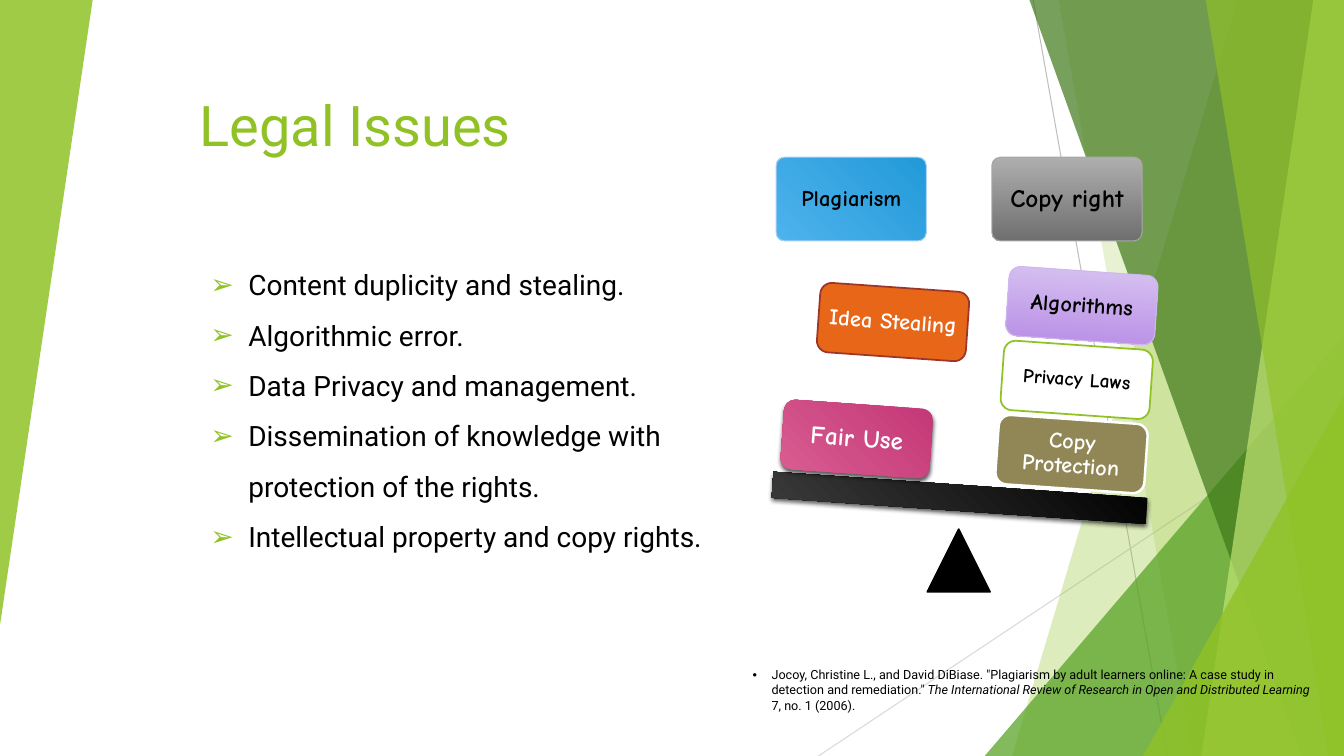
from dataclasses import dataclass
from typing import Optional

from lxml import etree
from pptx import Presentation
from pptx import util as u
from pptx.dml import color
from pptx.enum import shapes, text
from pptx.oxml import ns

Pt = u.Pt
WIDE, HIGH = 960, 540
LIME, BLACK, WHITE = "90C226", "000000", "FFFFFF"
KIND = shapes.MSO_SHAPE


@dataclass
class Band:
    """Facet reaching the right edge, from its left corners."""
    top: float
    low: float
    hue: str
    alpha: int


@dataclass
class Wedge:
    """Right-angled triangle."""
    box: tuple
    hue: str
    alpha: int
    turn: int = 0


@dataclass
class Card:
    """Block of the scale; two fills make a gradient."""
    label: str
    box: tuple
    fill: tuple
    line: Optional[str] = None
    width: float = 0.75
    ink: str = BLACK
    size: int = 16
    turn: int = 4
    round: float = 0.167
    radial: bool = False
    shade: bool = False
    pad: float = 5
    kind: int = KIND.ROUNDED_RECTANGLE


def rgb(code: str) -> color.RGBColor:
    return color.RGBColor.from_string(code)


def put(thing, form: dict) -> None:
    for name, value in form.items():
        setattr(thing, name, value)


def node(parent, tag: str, **attrs):
    return etree.SubElement(parent, ns.qn(tag), {k: str(v) for k, v in attrs.items()})


def paint(shape, hue: str, alpha: int = 100) -> None:
    shape.shadow.inherit = False
    shape.fill.solid()
    shape.fill.fore_color.rgb = rgb(hue)
    if alpha < 100:
        tint = shape._element.spPr.find(".//" + ns.qn("a:srgbClr"))
        node(tint, "a:alpha", val=alpha * 1000)


def blend(shape, hues: tuple, radial: bool) -> None:
    shape.fill.gradient()
    shape.fill.gradient_angle = 270
    for stop, hue in zip(shape.fill.gradient_stops, hues):
        stop.color.rgb = rgb(hue)
    if radial:
        grad = shape._element.spPr.find(ns.qn("a:gradFill"))
        grad.remove(grad.find(ns.qn("a:lin")))
        path = node(grad, "a:path", path="circle")
        node(path, "a:fillToRect", l=0, t=100000, r=100000, b=0)


def shade(shape) -> None:
    effects = shape._element.spPr.find(ns.qn("a:effectLst"))
    drop = node(effects, "a:outerShdw", blurRad=Pt(3), dist=Pt(2), dir=5400000, rotWithShape=0)
    node(node(drop, "a:srgbClr", val=BLACK), "a:alpha", val=64000)


def write(para, words: str, size: int, hue: str, font: str = "Roboto", **form) -> None:
    run = para.add_run()
    run.text = words
    put(run.font, {"size": Pt(size), "name": font, **form})
    run.font.color.rgb = rgb(hue)


def bullet(para, mark: str, indent: float, hue: str) -> None:
    props = para._p.get_or_add_pPr()
    put_in = {"marL": Pt(indent), "indent": -Pt(indent)}
    for name, value in put_in.items():
        props.set(name, str(value))
    node(node(props, "a:buClr"), "a:srgbClr", val=hue)
    node(props, "a:buFont", typeface="Arial")
    node(props, "a:buChar", char=mark)


def draw_line(slide, ends: tuple, hue: str) -> None:
    line = slide.shapes.add_connector(shapes.MSO_CONNECTOR.STRAIGHT, *map(Pt, ends))
    put(line.line, {"width": Pt(0.75)})
    line.line.color.rgb = rgb(hue)
    node(line._element.spPr, "a:effectLst")


def draw_band(slide, band: Band) -> None:
    pen = slide.shapes.build_freeform(Pt(band.top), Pt(-0.72))
    corners = [(WIDE, -0.72), (WIDE, HIGH), (band.low, HIGH)]
    pen.add_line_segments([(Pt(x), Pt(y)) for x, y in corners])
    shape = pen.convert_to_shape()
    paint(shape, band.hue, band.alpha)
    shape.line.fill.background()


def draw_wedge(slide, wedge: Wedge) -> None:
    shape = slide.shapes.add_shape(KIND.ISOSCELES_TRIANGLE, *map(Pt, wedge.box))
    shape.adjustments[0] = 1
    shape.rotation = wedge.turn
    paint(shape, wedge.hue, wedge.alpha)
    shape.line.fill.background()


def draw_card(slide, card: Card) -> None:
    shape = slide.shapes.add_shape(card.kind, *map(Pt, card.box))
    shape.rotation = card.turn
    paint(shape, card.fill[0])
    if card.kind == KIND.ROUNDED_RECTANGLE:
        shape.adjustments[0] = card.round
    if len(card.fill) > 1:
        blend(shape, card.fill, card.radial)
    if card.shade:
        shade(shape)
    if card.line:
        shape.line.width = Pt(card.width)
        shape.line.color.rgb = rgb(card.line)
    else:
        shape.line.fill.background()
    if card.label:
        frame = shape.text_frame
        sides = ("left", "top", "right", "bottom")
        put(frame, {f"margin_{side}": Pt(card.pad) for side in sides})
        put(frame, {"word_wrap": True, "vertical_anchor": text.MSO_ANCHOR.MIDDLE})
        para = frame.paragraphs[0]
        put(para, {"alignment": text.PP_ALIGN.CENTER, "line_spacing": 0.9})
        write(para, card.label, card.size, card.ink, "Comic Neue", bold=True)


def add_text(slide, box: tuple, **form):
    frame = slide.shapes.add_textbox(*map(Pt, box)).text_frame
    put(frame, {"word_wrap": True, **form})
    return frame


def stack(step: int) -> tuple:
    """Place on the right-hand pile, counted from the beam up."""
    return (712.1 + 3.7 * step, 299.5 - 53 * step, 106.6, 49.7)


LINES = [((738, 0, 833.8, HIGH), "BFBFBF"), ((WIDE, 290.2, 584.6, HIGH), "D9D9D9")]
FACETS = [
    Band(884.2, 722.9, LIME, 30),
    Band(756, 851.8, LIME, 20),
    Wedge((703.4, 239.8, 256.6, 300.2), "54A021", 72),
    Band(735.1, 929.5, "3F7819", 70),
    Band(938.2, 858.2, "C0E474", 70),
    Band(861.1, 949, LIME, 65),
    Wedge((816.5, 283, 143.5, 257), LIME, 80),
    Wedge((0, 0, 66.2, 446.4), LIME, 85, 180),
]
CARDS = [
    Card("Plagiarism", (554.4, 112.3, 107.3, 59.8), ("4EB2ED", "229AD8"), "ABD2F4",
         turn=0, round=0.1, radial=True),
    Card("Copy right", (708.5, 112.3, 107.3, 59.8), ("AEAEAE", "6F6F6F"), "A8A8A8",
         size=18, turn=0, round=0.1),
    Card("", (662.4, 378, 44.8, 44.8), (BLACK,), BLACK, 1.25, turn=0,
         kind=KIND.ISOSCELES_TRIANGLE),
    Card("", (551.5, 346.3, 267.8, 18.7), ("3C3C3C", BLACK), radial=True, shade=True,
         kind=KIND.RECTANGLE),
    Card("Copy Protection", stack(0), ("918655",), WHITE, 1.75, WHITE),
    Card("Privacy Laws", stack(1), (WHITE,), LIME, 1.25, size=14, pad=4.3),
    Card("Algorithms", stack(2), ("D8C4F1", "B88DE6"), "CFB7EE"),
    Card("Fair Use", (558.7, 288.7, 106.6, 49.7), ("D95D91", "C33776"), ink=WHITE,
         size=18, radial=True, shade=True),
    Card("Idea Stealing", (584.6, 205.2, 106.6, 49.7), ("E76618",), "9C362B", 1.25, WHITE),
]
ISSUES = [
    "Content duplicity and stealing.",
    "Algorithmic error.",
    "Data Privacy and management.",
    "Dissemination of knowledge with protection of the rights.",
    "Intellectual property and copy rights.",
]
SOURCE = [
    ('Jocoy, Christine L., and David DiBiase. "Plagiarism by adult learners online: '
     'A case study in detection and remediation." ', False),
    ("The International Review of Research in Open and Distributed Learning", True),
    (" 7, no. 1 (2006).", False),
]


def main() -> None:
    deck = Presentation()
    put(deck, {"slide_width": Pt(WIDE), "slide_height": Pt(HIGH)})
    slide = deck.slides.add_slide(deck.slide_layouts[6])

    # Backdrop
    for ends, hue in LINES:
        draw_line(slide, ends, hue)
    for facet in FACETS:
        (draw_band if isinstance(facet, Band) else draw_wedge)(slide, facet)

    # Title and issues
    title = add_text(slide, (135.4, 41, 344.9, 74.9), vertical_anchor=text.MSO_ANCHOR.BOTTOM)
    write(title.paragraphs[0], "Legal Issues", 40, LIME)
    body = add_text(slide, (143.3, 175.7, 407.5, 184.3))
    for place, issue in enumerate(ISSUES):
        para = body.add_paragraph() if place else body.paragraphs[0]
        para.line_spacing = 1.5
        bullet(para, "➢", 27, LIME)
        write(para, issue, 20, BLACK)

    # Balance
    for card in CARDS:
        draw_card(slide, card)

    # Citation
    cite = add_text(slide, (530.6, 473, 415.4, 40.3),
                    auto_size=text.MSO_AUTO_SIZE.SHAPE_TO_FIT_TEXT).paragraphs[0]
    bullet(cite, "•", 13.5, BLACK)
    for words, slant in SOURCE:
        write(cite, words, 9, BLACK, italic=slant)

    deck.save("out.pptx")


if __name__ == "__main__":
    main()
